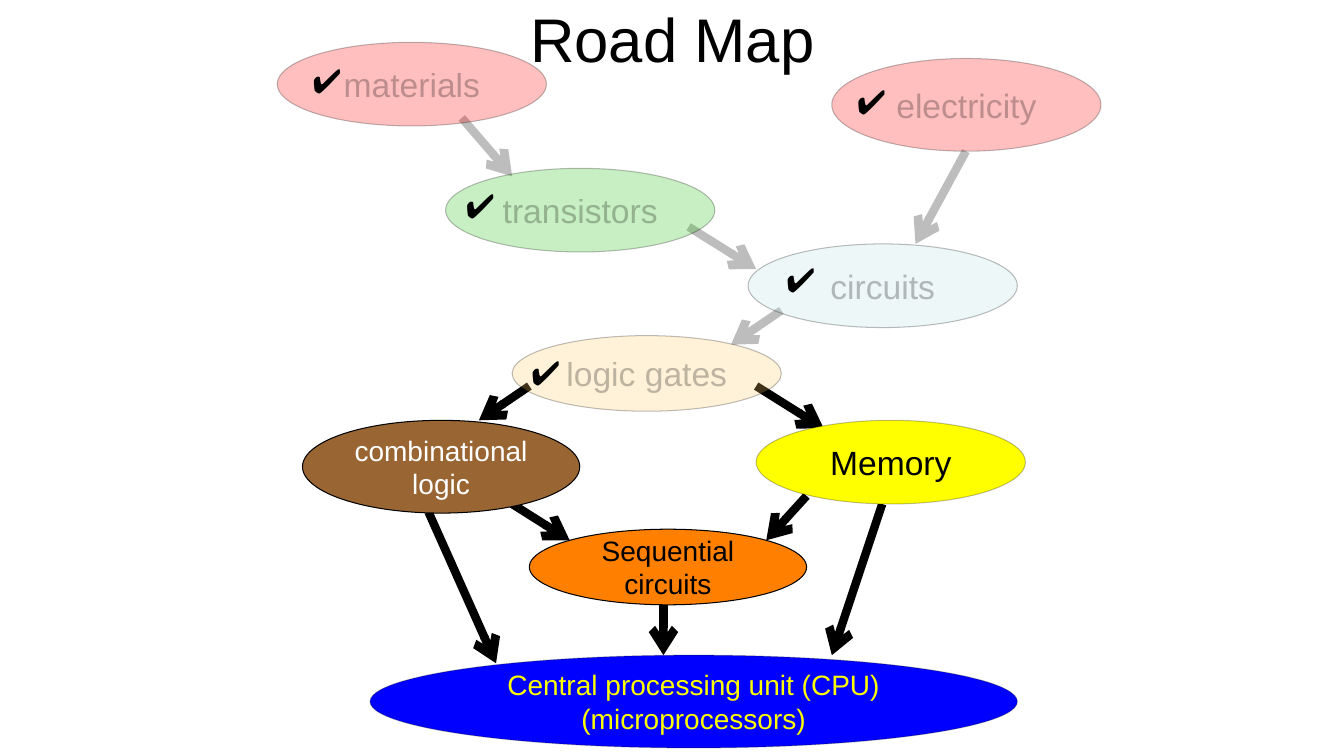
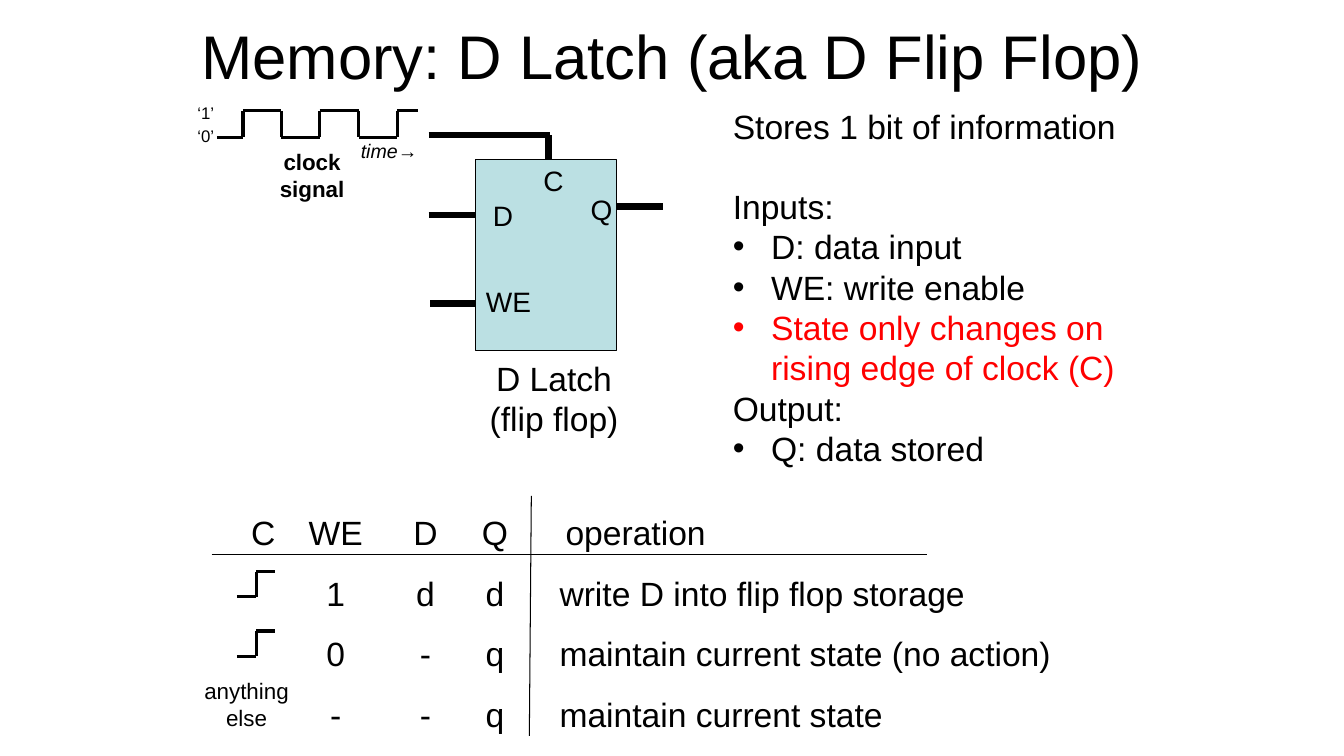
import pptx
import pptx.util
import pptx.dml.color
import pptx.enum.shapes
import pptx.enum.text
import pptx.oxml.ns
import lxml.etree

Inches, Pt = pptx.util.Inches, pptx.util.Pt
qn = pptx.oxml.ns.qn
SHAPE = pptx.enum.shapes.MSO_SHAPE
ANCHOR = pptx.enum.text.MSO_ANCHOR
ALIGN = pptx.enum.text.PP_ALIGN

FONT = "Arial"
COLORS = {
    "black": "000000", "white": "FFFFFF", "red": "FF0000", "yellow": "FFFF00",
    "green": "25C210", "aqua": "BBE0E3", "sand": "FFCC66", "brown": "996633",
    "orange": "FF8000", "blue": "0000FF",
}


def rgb(name):
    return pptx.dml.color.RGBColor.from_string(COLORS[name])


def fade(element, percent=25):
    for clr in element.iter(qn("a:srgbClr")):
        alpha = lxml.etree.SubElement(clr, qn("a:alpha"))
        alpha.set("val", str(percent * 1000))


def write(p, text, size=24, color="black", bold=False, italic=False,
          align=ALIGN.LEFT, before=0, bullet=False):
    p.alignment = align
    p.space_before = Pt(before)
    if bullet:
        pPr = p._p.get_or_add_pPr()
        pPr.set("marL", str(Inches(0.38)))
        pPr.set("indent", str(Inches(-0.38)))
        lxml.etree.SubElement(pPr, qn("a:buFont")).set("typeface", FONT)
        lxml.etree.SubElement(pPr, qn("a:buChar")).set("char", "•")
    r = p.add_run()
    r.text = text
    r.font.name = FONT
    r.font.size = Pt(size)
    r.font.bold = bold
    r.font.italic = italic
    r.font.color.rgb = rgb(color)


def write_lines(tf, lines, **fmt):
    for i, text in enumerate(lines):
        write(tf.add_paragraph() if i else tf.paragraphs[0], text, **fmt)


def text_box(s, x, y, w, h, *lines, wrap=False, anchor=ANCHOR.TOP, **fmt):
    tf = s.shapes.add_textbox(Inches(x), Inches(y), Inches(w), Inches(h)).text_frame
    tf.word_wrap = wrap
    tf.vertical_anchor = anchor
    write_lines(tf, lines, **fmt)
    return tf


def title(s, text, x, y, w):
    text_box(s, x, y, w, 1.25, text, wrap=True, anchor=ANCHOR.MIDDLE,
             size=44, align=ALIGN.CENTER)


def shape(s, kind, x, y, w, h, fill):
    sp = s.shapes.add_shape(kind, Inches(x), Inches(y), Inches(w), Inches(h))
    sp.shadow.inherit = False
    sp.fill.solid()
    sp.fill.fore_color.rgb = rgb(fill)
    sp.line.color.rgb = rgb("black")
    sp.line.width = Pt(0.75)
    return sp


def node(s, x, y, w, h, fill, *lines, size=24, color="black",
         faded=False, soft_edge=False):
    sp = shape(s, SHAPE.OVAL, x, y, w, h, fill)
    sp.text_frame.word_wrap = True
    sp.text_frame.vertical_anchor = ANCHOR.MIDDLE
    write_lines(sp.text_frame, lines, size=size, color=color, align=ALIGN.CENTER)
    if faded:
        fade(sp.element)
    elif soft_edge:
        fade(sp.element.spPr.find(qn("a:ln")))


def line(s, x1, y1, x2, y2, width, arrow=False, faded=False):
    c = s.shapes.add_connector(pptx.enum.shapes.MSO_CONNECTOR.STRAIGHT,
                               Inches(x1), Inches(y1), Inches(x2), Inches(y2))
    c.line.color.rgb = rgb("black")
    c.line.width = Pt(width)
    spPr = c.element.spPr
    if arrow:
        tail = lxml.etree.SubElement(spPr.find(qn("a:ln")), qn("a:tailEnd"))
        tail.set("type", "arrow")
    if faded:
        fade(spPr)
    lxml.etree.SubElement(spPr, qn("a:effectLst"))


def square_wave(s, start, edges, end, low, high):
    levels = [low, high]
    stops = [start, *edges, end]
    for i, (x1, x2) in enumerate(zip(stops, stops[1:])):
        line(s, x1, levels[i % 2], x2, levels[i % 2], 2.25)
    for x in edges:
        line(s, x, high, x, low, 2.25)


def truth_table(s, rows, x, y, widths, row_height):
    tbl = s.shapes.add_table(len(rows), len(widths), Inches(x), Inches(y),
                             Inches(sum(widths)), Inches(row_height * len(rows))).table
    tbl.first_row = tbl.horz_banding = False
    for col, width in zip(tbl.columns, widths):
        col.width = Inches(width)
    for i, row in enumerate(rows):
        tbl.rows[i].height = Inches(row_height)
        for j, text in enumerate(row):
            cell = tbl.cell(i, j)
            cell.fill.background()
            cell.margin_left = cell.margin_right = 0
            cell.margin_top = cell.margin_bottom = 0
            cell.vertical_anchor = ANCHOR.MIDDLE
            align = ALIGN.CENTER
            if j == 0:
                cell.margin_right = Inches(0.24)
                align = ALIGN.RIGHT
            elif j == len(row) - 1:
                cell.margin_left = Inches(0.48 if i else 0.54)
                align = ALIGN.LEFT
            write(cell.text_frame.paragraphs[0], text, align=align)


def road_map(s):
    title(s, "Road Map", 2.42, -0.25, 8.5)
    done_arrows = [
        (4.58, 1.17, 5.08, 1.75), (9.58, 1.5, 9.08, 2.42),
        (6.83, 2.25, 7.5, 2.67), (7.75, 3.08, 7.25, 3.42),
    ]
    next_arrows = [
        (5.25, 3.83, 4.75, 4.17), (7.5, 3.83, 8.17, 4.25),
        (5.08, 5, 5.65, 5.36), (8, 4.92, 7.6, 5.36),
        (4.25, 5.08, 4.92, 6.58), (6.58, 6, 6.58, 6.5), (8.75, 5, 8.25, 6.5),
    ]
    for arrows, faded in ((done_arrows, True), (next_arrows, False)):
        for ends in arrows:
            line(s, *ends, 6, arrow=True, faded=faded)

    done_nodes = [
        ("materials", "red", 2.75, 0.42, 0.83, 3, 0.55),
        ("electricity", "red", 8.25, 0.58, 0.92, 8.4, 0.75),
        ("transistors", "green", 4.42, 1.67, 0.83, 4.52, 1.79),
        ("circuits", "aqua", 7.42, 2.42, 0.83, 7.7, 2.52),
        ("logic gates", "sand", 5.08, 3.33, 0.75, 5.17, 3.44),
    ]
    for name, fill, x, y, h, check_x, check_y in done_nodes:
        node(s, x, y, 2.67, h, fill, name, faded=True)
        text_box(s, check_x, check_y, 0.54, 0.5, "✔")

    node(s, 7.5, 4.17, 2.67, 0.83, "yellow", "Memory", soft_edge=True)
    node(s, 3, 4.17, 2.75, 0.92, "brown", "combinational logic", size=20, color="white")
    node(s, 5.25, 5.25, 2.75, 0.75, "orange", "Sequential circuits", size=20)
    node(s, 3.67, 6.5, 6.42, 0.92, "blue", "Central processing unit (CPU)",
         "(microprocessors)", size=20, color="yellow", soft_edge=True)


def latch_diagram(s):
    for wire in ((4.25, 2.13, 4.72, 2.13), (6.11, 2.05, 6.58, 2.05),
                 (4.27, 3.01, 4.74, 3.01), (4.25, 1.34, 5.46, 1.34),
                 (5.44, 1.34, 5.44, 1.58)):
        line(s, *wire, 4.5)
    shape(s, SHAPE.RECTANGLE, 4.72, 1.58, 1.4, 1.9, "aqua")
    for pin, x, y, w in (("D", 4.79, 1.92, 0.41), ("WE", 4.72, 2.77, 0.65),
                         ("Q", 5.76, 1.86, 0.42), ("C", 5.29, 1.57, 0.41)):
        text_box(s, x, y, w, 0.44, pin, size=20)
    text_box(s, 4.75, 3.5, 1.49, 0.91, "D Latch", "(flip flop)", align=ALIGN.CENTER)


def clock_signal(s):
    square_wave(s, 2.15, [2.41, 2.79, 3.17, 3.56, 3.94], 4.15, 1.36, 1.1)
    text_box(s, 1.86, 0.97, 0.37, 0.3, "‘1’", size=12)
    text_box(s, 1.86, 1.2, 0.37, 0.3, "‘0’", size=12)
    text_box(s, 3.48, 1.33, 0.77, 0.34, "time→", size=14, italic=True)
    text_box(s, 2.67, 1.42, 0.85, 0.64, "clock", "signal", size=16, bold=True,
             align=ALIGN.CENTER)


def d_latch(s):
    title(s, "Memory: D Latch (aka D Flip Flop)", 1.67, -0.08, 10)
    tf = text_box(s, 7.17, 1, 4.33, 3.74, "Stores 1 bit of information", wrap=True)
    for text, fmt in (
        ("Inputs:", {"before": 28.5}),
        ("D: data input", {"bullet": True}),
        ("WE: write enable", {"bullet": True}),
        ("State only changes on rising edge of clock (C)",
         {"bullet": True, "color": "red"}),
        ("Output:", {}),
        ("Q: data stored", {"bullet": True}),
    ):
        write(tf.add_paragraph(), text, **fmt)

    latch_diagram(s)
    clock_signal(s)
    rows = [
        ("C", "WE", "D", "Q", "operation"),
        ("", "1", "d", "d", "write D into flip flop storage"),
        ("", "0", "-", "q", "maintain current state (no action)"),
        ("", "-", "-", "q", "maintain current state"),
    ]
    truth_table(s, rows, 1.92, 5, [1.05, 0.72, 1.06, 0.32, 6.3], 0.6)
    line(s, 5.27, 4.92, 5.25, 7.3, 0.75)
    line(s, 2.1, 5.5, 9.19, 5.5, 0.75)
    for low in (5.92, 6.51):
        square_wave(s, 2.35, [2.54], 2.73, low, low - 0.25)
    text_box(s, 1.92, 6.67, 1.05, 0.64, "anything", "else", size=16, align=ALIGN.CENTER)


def main():
    prs = pptx.Presentation()
    prs.slide_width = Inches(13.33)
    prs.slide_height = Inches(7.5)
    for build in (road_map, d_latch):
        build(prs.slides.add_slide(prs.slide_layouts[6]))
    prs.save("out.pptx")


if __name__ == "__main__":
    main()
